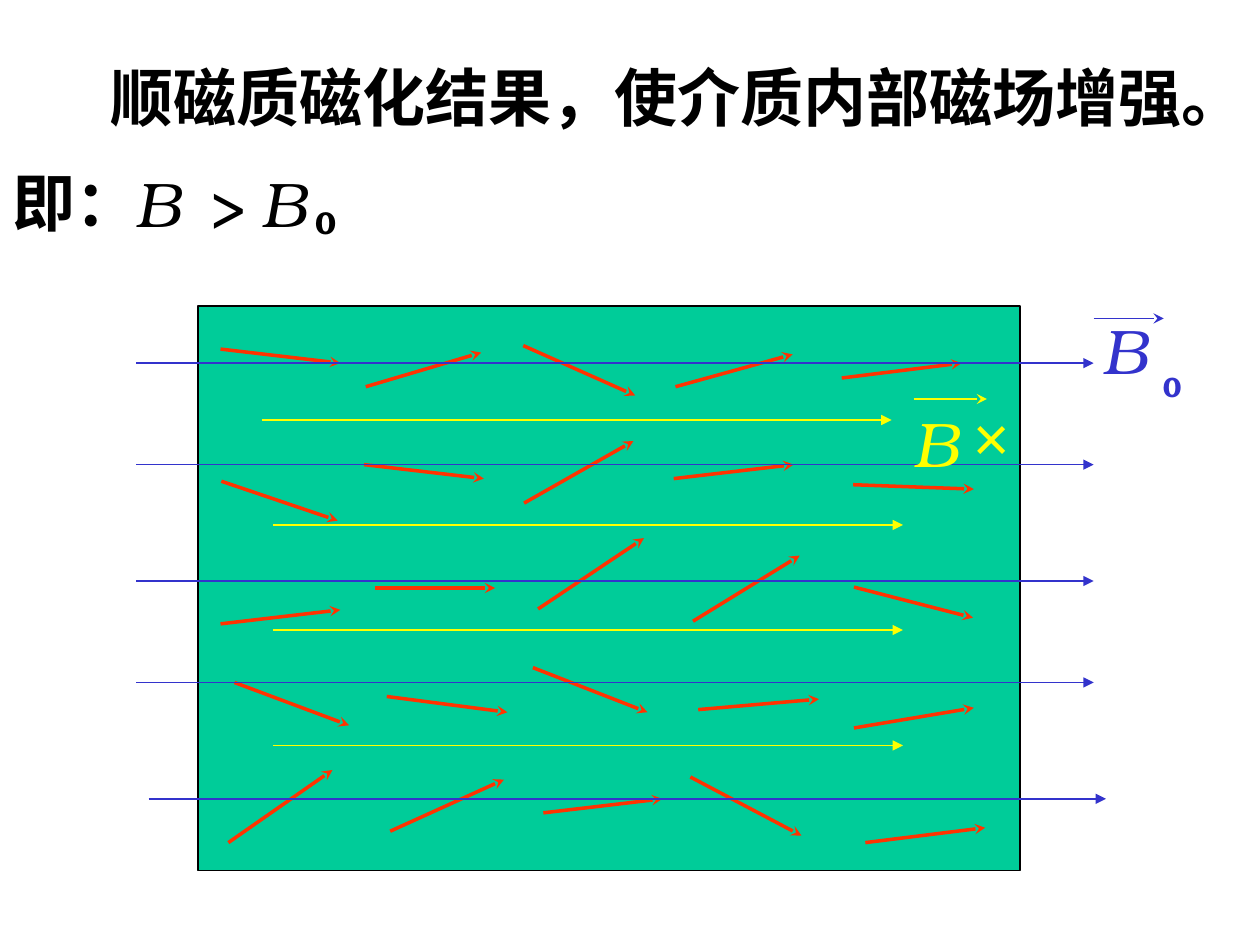
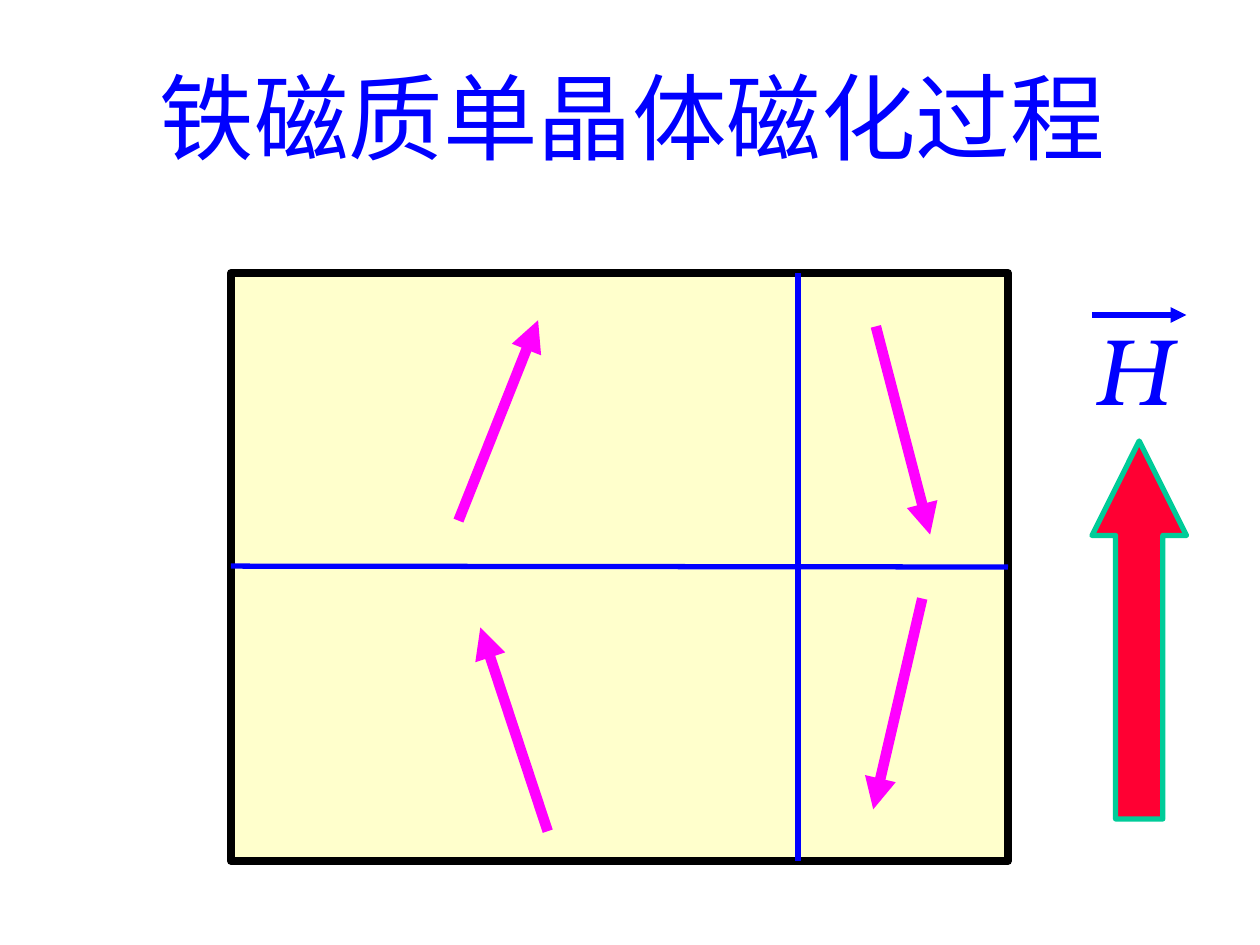
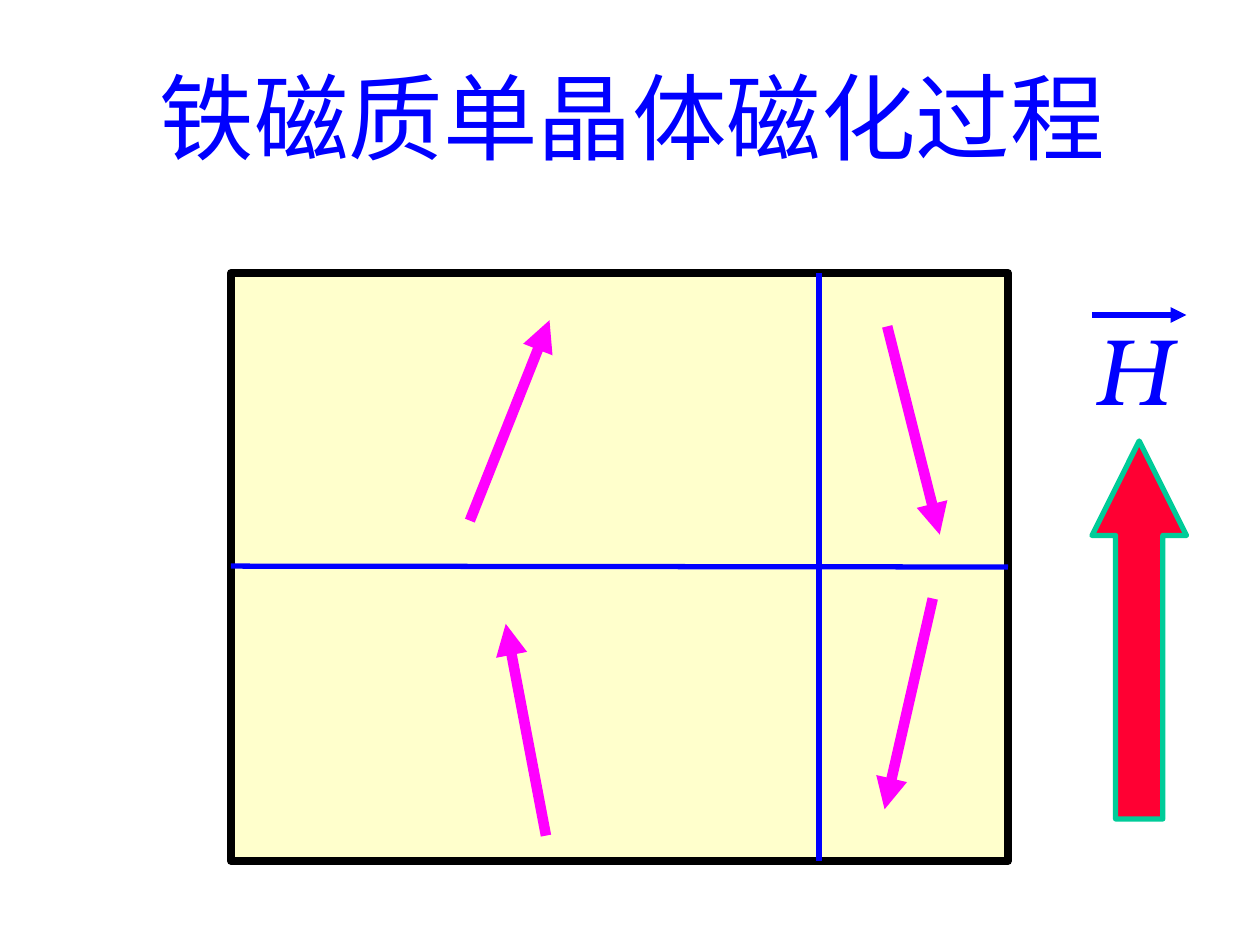
from lxml.etree import SubElement
from pptx import Presentation
from pptx.dml.color import RGBColor
from pptx.enum.shapes import MSO_CONNECTOR as Link, MSO_SHAPE as Preset
from pptx.enum.text import MSO_ANCHOR as Anchor, MSO_AUTO_SIZE as Fit, PP_ALIGN as Align
from pptx.oxml.ns import qn
from pptx.util import Pt

COLORS = {
    "black": "000000", "green": "00CC99", "orange": "FF3300", "indigo": "3333CC",
    "yellow": "FFFF00", "cream": "FFFFCC", "blue": "0000FF", "magenta": "FF00FF",
    "red": "FF0033",
}
SERIF = "TeX Gyre Bonum"
SANS = "Arial"

RESULT = "顺磁质磁化结果，使介质内部磁场增强。"
RESULT_BOX = (6.5, 30, 718.5, 50.5)
RESULT_INDENT = 49.5
MEDIUM = (113, 175, 470, 322.5)
MOLECULES = [
    (126, 199.5, 194.5, 207.5), (209, 221, 275, 201.5), (126.5, 275, 193, 297.5),
    (126, 356.5, 194.5, 348.5), (299.5, 287.5, 362, 252), (208, 265.5, 276.5, 273.5),
    (214.5, 336, 283, 336), (307.5, 348, 368, 307.5), (488, 335.5, 556, 353),
    (396, 355, 457, 317.5), (385, 273.5, 453.5, 265.5), (487.5, 277, 556.5, 279.5),
    (481, 216, 549.5, 207.5), (386, 221, 453, 202.5), (299, 197.5, 363, 226),
    (134, 390, 199.5, 414.5), (130.5, 481.5, 190, 440), (304.5, 381.5, 370, 407),
    (221, 398, 290, 407), (223, 475, 288, 445.5), (310.5, 464.5, 378.5, 456.5),
    (494.5, 481.5, 563, 473), (394.5, 444, 458, 477.5), (488, 416, 556.5, 404.5),
    (399, 405.5, 468, 399.5),
]
OUTER_FIELD = [(78, 207.5), (78, 265.5), (78, 332), (78, 390), (85, 456.5)]
OUTER_LENGTH = 547
ADDED_FIELD = [(149.5, 240), (156, 300), (156, 360), (156, 426)]
ADDED_LENGTH = 360
VECTOR_MARKS = [((625, 182, 665, 182), "indigo"), ((522, 228, 564, 228), "yellow")]
LETTER = {"size": Pt(36), "italic": True}
SYMBOLS = [
    ("B", (623, 174.5, 40.5, 50.5), "indigo", LETTER),
    ("0", (657.5, 207.5, 25, 26.5), "indigo", {"size": Pt(16), "bold": True}),
    ("B", (142.5, 90.5, 40.5, 50.5), "black", LETTER),
    ("0", (173, 112.5, 26.5, 29), "black", {"size": Pt(18), "bold": True}),
    ("B", (70.5, 90.5, 40.5, 50.5), "black", LETTER),
    (">", (113, 90.5, 36, 50.5), "black", {"size": Pt(36)}),
    ("即：", (0, 90, 86.5, 50.5), "black", {"size": Pt(36), "bold": True}),
    ("B", (515, 227.5, 40.5, 50.5), "yellow", LETTER),
]
TIMES_SIGN = ("×", (556, 228, 29, 43), "yellow", {"size": Pt(36), "name": SANS})

PROCESS = "铁磁质单晶体磁化过程"
PROCESS_BOX = (84, 30, 554.5, 72)
CRYSTAL = (132, 156, 444, 336)
CRYSTAL_STAGES = [
    {"wall": 456, "domains": [
        (262, 297.5, 307.5, 183), (500.5, 186.5, 531.5, 305.5),
        (313, 475, 274.5, 358.5), (527, 342, 499, 462.5)]},
    {"wall": 468, "domains": [
        (268.5, 297.5, 314, 183), (507, 186.5, 537, 305.5),
        (312, 477.5, 289, 356.5), (533, 342, 505.5, 462.5)]},
]
FIELD_ARROW = (624, 252, 54, 216)
FIELD_LETTER = ("H", (618.5, 174, 57.5, 72), "blue", {"size": Pt(54), "italic": True})
FIELD_MARK = (624, 180, 678, 180)


def color(name):
    return RGBColor.from_string(COLORS[name])


def points(values):
    return [Pt(value) for value in values]


def write(box, text, tone, look):
    frame = box.text_frame
    frame.auto_size = Fit.NONE
    frame.word_wrap = False
    frame.vertical_anchor = Anchor.TOP
    para = frame.paragraphs[0]
    para.alignment = Align.LEFT
    span = para.add_run()
    span.text = text
    for key, value in {"name": SERIF, **look}.items():
        setattr(span.font, key, value)
    span.font.color.rgb = color(tone)
    return frame


def add_title(page, text, place, tone, look):
    title = page.shapes.title
    title.left, title.top, title.width, title.height = points(place)
    return write(title, text, tone, look)


def add_text(page, text, place, tone, look):
    return write(page.shapes.add_textbox(*points(place)), text, tone, look)


def add_block(page, preset, place, fill, outline, weight):
    block = page.shapes.add_shape(preset, *points(place))
    block.shadow.inherit = False
    block.fill.solid()
    block.fill.fore_color.rgb = color(fill)
    block.line.color.rgb = color(outline)
    block.line.width = Pt(weight)
    return block


def add_line(page, ends, tone, weight, tip=None):
    line = page.shapes.add_connector(Link.STRAIGHT, *points(ends))
    line.line.color.rgb = color(tone)
    line.line.width = Pt(weight)
    properties = line._element.spPr
    if tip:
        SubElement(properties.find(qn("a:ln")), qn("a:tailEnd"), type=tip)
    SubElement(properties, qn("a:effectLst"))


def build_paramagnet(page):
    frame = add_title(page, RESULT, RESULT_BOX, "black", {"size": Pt(36), "bold": True})
    frame.word_wrap = True
    frame.paragraphs[0]._p.get_or_add_pPr().set("indent", str(Pt(RESULT_INDENT)))
    add_block(page, Preset.RECTANGLE, MEDIUM, "green", "black", 1)
    for ends in MOLECULES:
        add_line(page, ends, "orange", 2, "stealth")
    for starts, length, tone in [(OUTER_FIELD, OUTER_LENGTH, "indigo"),
                                 (ADDED_FIELD, ADDED_LENGTH, "yellow")]:
        for left, top in starts:
            add_line(page, (left, top, left + length, top), tone, 1, "triangle")
    for ends, tone in VECTOR_MARKS:
        add_line(page, ends, tone, 1, "stealth")
    for symbol in SYMBOLS:
        add_text(page, *symbol)
    frame = add_text(page, *TIMES_SIGN)
    for side in ("left", "top", "right", "bottom"):
        setattr(frame, f"margin_{side}", 0)


def build_crystal(page, wall, domains):
    add_title(page, PROCESS, PROCESS_BOX, "blue", {"size": Pt(54)})
    add_block(page, Preset.RECTANGLE, CRYSTAL, "cream", "black", 4.5)
    left, top, width, height = CRYSTAL
    middle = top + height / 2
    add_line(page, (wall, top, wall, top + height), "blue", 3)
    add_line(page, (left, middle - 0.5, left + width, middle), "blue", 3)
    for ends in domains:
        add_line(page, ends, "magenta", 6, "triangle")
    arrow = add_block(page, Preset.UP_ARROW, FIELD_ARROW, "red", "green", 3)
    arrow.adjustments[0], arrow.adjustments[1] = 0.5, 1
    add_text(page, *FIELD_LETTER)
    add_line(page, FIELD_MARK, "blue", 3, "triangle")


def main():
    deck = Presentation()
    deck.slide_width, deck.slide_height = Pt(720), Pt(540)
    title_only = deck.slide_layouts[5]
    build_paramagnet(deck.slides.add_slide(title_only))
    for stage in CRYSTAL_STAGES:
        build_crystal(deck.slides.add_slide(title_only), **stage)
    deck.save("out.pptx")


if __name__ == "__main__":
    main()
